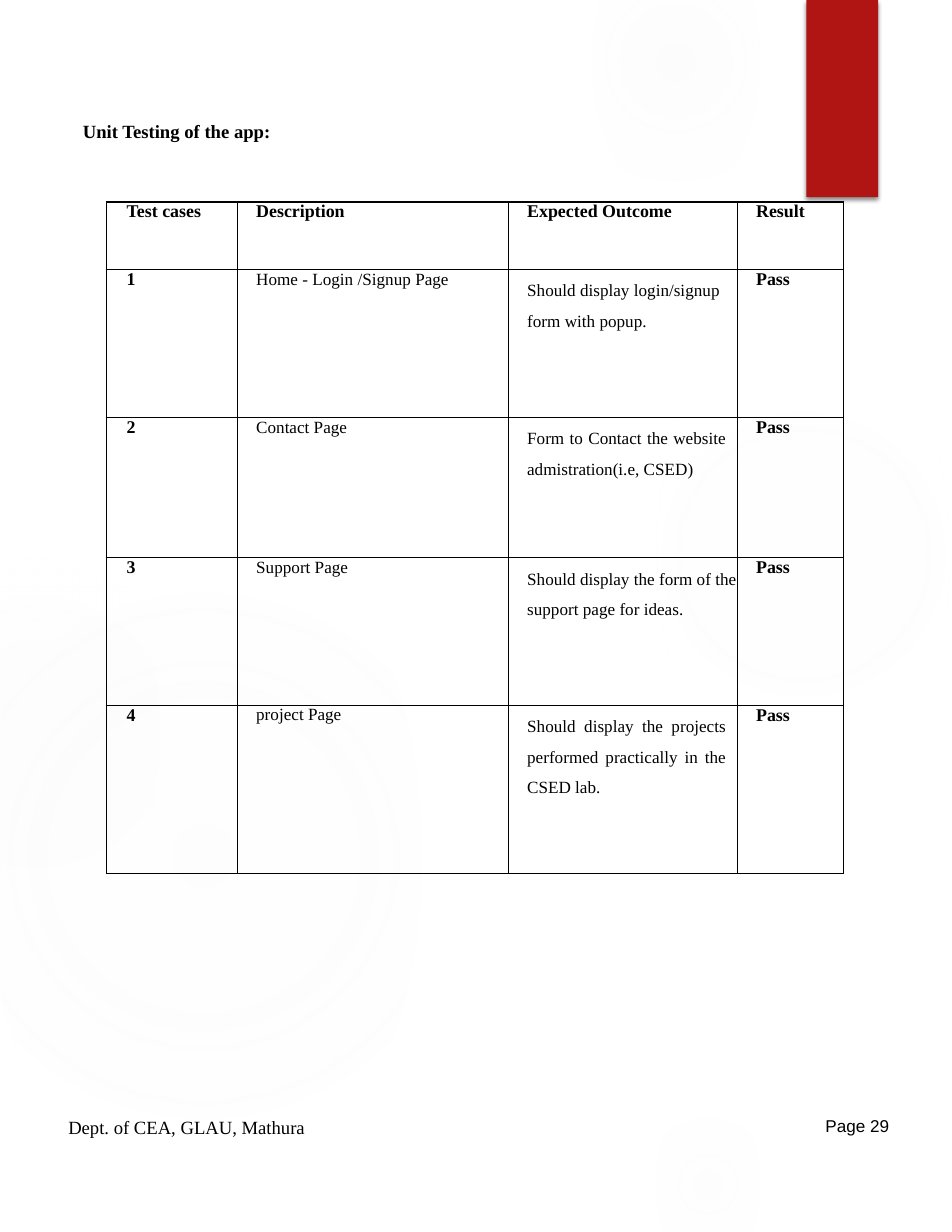
from dataclasses import dataclass

from lxml import etree
from pptx import Presentation
from pptx.dml.color import RGBColor
from pptx.enum.shapes import MSO_SHAPE
from pptx.enum.text import PP_ALIGN
from pptx.oxml import parse_xml
from pptx.oxml.ns import nsdecls, qn
from pptx.util import Pt

OVAL, RECTANGLE = MSO_SHAPE.OVAL, MSO_SHAPE.RECTANGLE
LEFT, JUSTIFY = PP_ALIGN.LEFT, PP_ALIGN.JUSTIFY


@dataclass(frozen=True)
class Theme:
    ink: str = "000000"
    paper: str = "FFFFFF"
    ribbon: str = "B01513"
    glow: str = "F3F3F3"
    serif: str = "Times New Roman"
    sans: str = "Arial"
    title: float = 12
    label: float = 11.5
    body: float = 11


THEME = Theme()

# Box, then (stop percent, opacity percent) for each glow
GLOWS = [
    ((421.9, 193.7, 188.6, 325.4), [(0, 7), (36, 6), (69, 0)]),
    ((380.9, -52.6, 107.3, 185), [(0, 14), (36, 7), (73, 0)]),
    ((421.9, 704.2, 66.2, 114.5), [(0, 9), (36, 5), (66, 0)]),
    ((-10.1, 308.2, 280.8, 483.8), [(0, 11), (36, 10), (75, 0)]),
    ((-56.2, 334.1, 158.4, 272.9), [(0, 8), (36, 8), (72, 0)]),
]

HEADINGS = ["Test cases", "Description", "Expected Outcome", "Result"]
# Description, expected outcome, alignment, line spacing
TESTS = [
    ("Home - Login /Signup Page", "Should display login/signup form with popup.", LEFT, 19.7),
    ("Contact Page", "Form to Contact the website admistration(i.e, CSED)", JUSTIFY, 19.7),
    ("Support Page", "Should display the form of the support page for ideas.", LEFT, 19.9),
    ("project Page", "Should display the projects performed practically in the CSED lab.",
     JUSTIFY, 19.7),
]
COLUMNS = [84.2, 174.2, 147.2, 68.2]
ROWS = [43.7, 95.2, 90, 95, 108]


def add_span(para, text, size, bold=False, font=THEME.serif):
    span = para.add_run()
    span.text = text
    span.font.name, span.font.size, span.font.bold = font, Pt(size), bold
    span.font.color.rgb = RGBColor.from_string(THEME.ink)


def add_plain_shape(page, kind, box):
    shape = page.shapes.add_shape(kind, *map(Pt, box))
    shape.shadow.inherit = False
    shape.line.fill.background()
    return shape


def add_glow(page, box, stops):
    properties = add_plain_shape(page, OVAL, box)._element.spPr
    marks = "".join(
        f'<a:gs pos="{stop * 1000}"><a:srgbClr val="{THEME.glow}">'
        f'<a:alpha val="{opacity * 1000}"/></a:srgbClr></a:gs>'
        for stop, opacity in stops)
    gradient = parse_xml(
        f'<a:gradFill {nsdecls("a")}><a:gsLst>{marks}</a:gsLst><a:path path="circle">'
        '<a:fillToRect l="50000" t="50000" r="50000" b="50000"/></a:path></a:gradFill>')
    properties.find(qn("a:prstGeom")).addnext(gradient)


def add_ribbon(page, box):
    ribbon = add_plain_shape(page, RECTANGLE, box)
    ribbon.fill.solid()
    ribbon.fill.fore_color.rgb = RGBColor.from_string(THEME.ribbon)
    effects = ribbon._element.spPr.find(qn("a:effectLst"))
    effects.append(parse_xml(
        f'<a:outerShdw {nsdecls("a")} blurRad="{Pt(3)}" dist="{Pt(2)}" dir="5400000" '
        'rotWithShape="0"><a:srgbClr val="000000"><a:alpha val="45000"/>'
        '</a:srgbClr></a:outerShdw>'))


def add_label(page, box, text, size, bold=False, font=THEME.serif):
    frame = page.shapes.add_textbox(*map(Pt, box)).text_frame
    frame.word_wrap = False
    frame.margin_left = frame.margin_top = frame.margin_right = frame.margin_bottom = 0
    add_span(frame.paragraphs[0], text, size, bold, font)


def set_borders(cell, top_width):
    properties = cell._tc.get_or_add_tcPr()
    widths = {"lnL": 0.75, "lnR": 0.75, "lnT": top_width, "lnB": 0.75}
    for side, width in widths.items():
        line = etree.SubElement(properties, qn(f"a:{side}"), w=str(Pt(width)))
        fill = etree.SubElement(line, qn("a:solidFill"))
        etree.SubElement(fill, qn("a:srgbClr"), val=THEME.ink)


def fill_cell(cell, text, indent, bold, top_width, align=LEFT, spacing=None):
    cell.margin_left = cell.margin_top = cell.margin_bottom = 0
    cell.margin_right = Pt(7.2) if align == JUSTIFY else 0
    set_borders(cell, top_width)
    cell.fill.background()
    para = cell.text_frame.paragraphs[0]
    para._p.get_or_add_pPr().set("marL", str(Pt(indent)))
    para.alignment = align
    if spacing:
        para.line_spacing = Pt(spacing)
    add_span(para, text, THEME.label if bold else THEME.body, bold)


def add_test_table(page, left, top):
    table = page.shapes.add_table(len(ROWS), len(COLUMNS), Pt(left), Pt(top),
                                  Pt(sum(COLUMNS)), Pt(sum(ROWS))).table
    table.horz_banding = False
    for column, width in zip(table.columns, COLUMNS):
        column.width = Pt(width)
    for row, height in zip(table.rows, ROWS):
        row.height = Pt(height)

    indents = [13, 12.1, 12.1, 12.1]
    for index, heading in enumerate(HEADINGS):
        fill_cell(table.cell(0, index), heading, indents[index], True, 1.5)
    for number, (description, outcome, align, spacing) in enumerate(TESTS, 1):
        for index, text in enumerate([str(number), description, outcome, "Pass"]):
            layout = (align, spacing) if index == 2 else ()
            fill_cell(table.cell(number, index), text, indents[index],
                      index in (0, 3), 0.75, *layout)


def build_page(page):
    # Background and ribbon
    page.background.fill.solid()
    page.background.fill.fore_color.rgb = RGBColor.from_string(THEME.paper)
    for box, stops in GLOWS:
        add_glow(page, box, stops)
    add_ribbon(page, (518.4, 0, 46.1, 126.7))

    # Heading and test results
    add_label(page, (53.3, 77, 123.8, 13.7), "Unit Testing of the app:", THEME.title, True)
    add_test_table(page, 68.4, 129.7)

    # Footer
    add_label(page, (43.9, 717.1, 154.8, 13.7), "Dept. of CEA, GLAU, Mathura", THEME.title)
    add_label(page, (530.6, 717.1, 43.9, 13.7), "Page 29", THEME.body, font=THEME.sans)


def main():
    deck = Presentation()
    deck.slide_width, deck.slide_height = Pt(612), Pt(792)
    build_page(deck.slides.add_slide(deck.slide_layouts[6]))
    deck.save("out.pptx")


if __name__ == "__main__":
    main()
